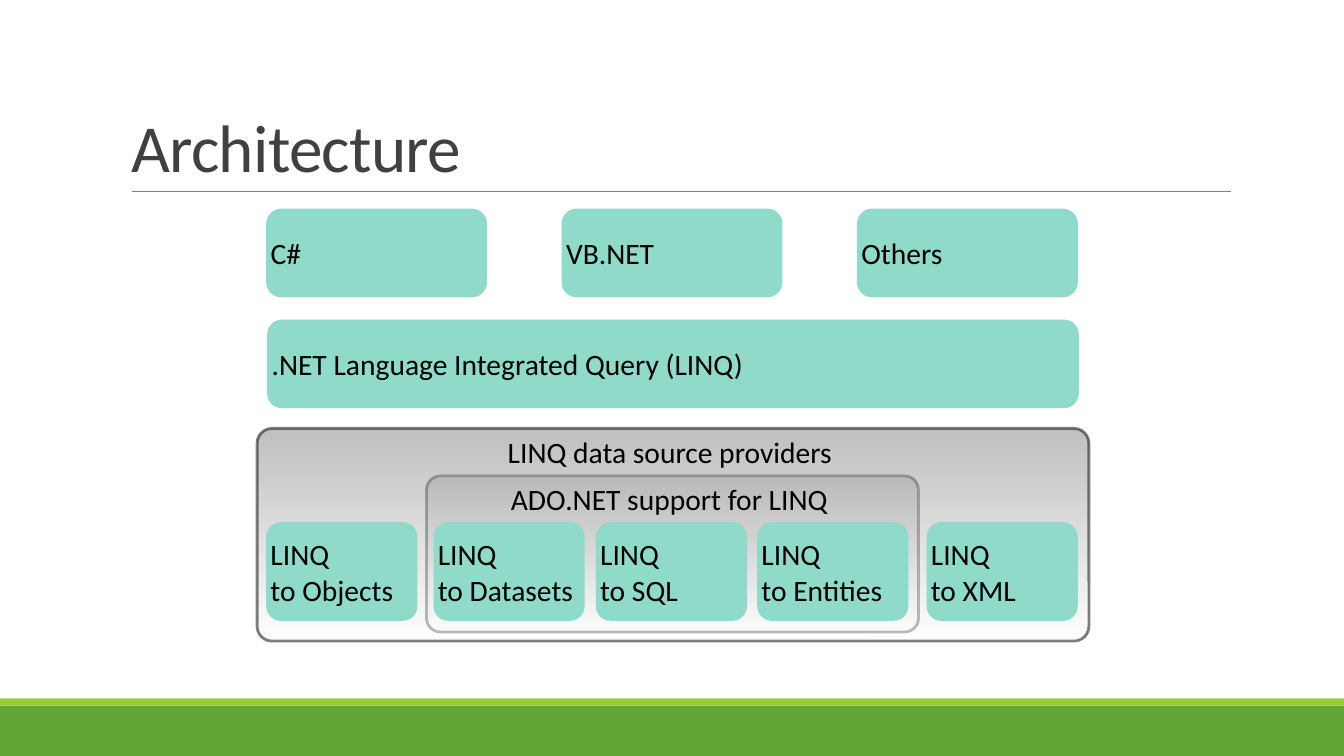
from dataclasses import dataclass

from lxml.etree import SubElement
from pptx import Presentation
from pptx.dml.color import RGBColor
from pptx.enum.shapes import MSO_CONNECTOR as Connector, MSO_SHAPE as Shape
from pptx.enum.text import MSO_ANCHOR as Anchor, PP_ALIGN as Align
from pptx.oxml.ns import qn
from pptx.util import Inches, Pt


@dataclass(frozen=True)
class Theme:
    font: str = "Calibri"
    title_size: float = 48
    label_size: float = 21.1
    title_color: str = "404040"
    text_color: str = "000000"
    box_color: str = "8FDAC8"
    rule_color: str = "808080"
    frame_line: str = "000000"
    frame_top: str = "808080"
    frame_bottom: str = "FFFFFF"
    band_color: str = "63A537"
    stripe_color: str = "99CB38"


def rgb(value):
    return RGBColor.from_string(value)


class SlideBuilder:
    def __init__(self, slide, theme):
        self.slide = slide
        self.theme = theme

    def style_run(self, run, size, color):
        run.font.name = self.theme.font
        run.font.size = Pt(size)
        run.font.color.rgb = rgb(color)

    def label(self, shape, text, align):
        frame = shape.text_frame
        frame.margin_left = frame.margin_right = 0
        frame.margin_top = frame.margin_bottom = 0
        frame.vertical_anchor = Anchor.MIDDLE
        paragraph = frame.paragraphs[0]
        paragraph.alignment = align
        for index, line in enumerate(text.split("\n")):
            if index:
                paragraph.add_line_break()
            run = paragraph.add_run()
            run.text = line
            self.style_run(run, self.theme.label_size, self.theme.text_color)
        return frame

    def title(self, text, left, top, width, height):
        shape = self.slide.shapes.title
        shape.left, shape.top = Inches(left), Inches(top)
        shape.width, shape.height = Inches(width), Inches(height)
        shape.text_frame.vertical_anchor = Anchor.BOTTOM
        paragraph = shape.text_frame.paragraphs[0]
        paragraph.alignment = Align.LEFT
        paragraph.line_spacing = 0.85
        run = paragraph.add_run()
        run.text = text
        self.style_run(run, self.theme.title_size, self.theme.title_color)
        run.font._element.set("spc", "-50")

    def shape(self, kind, left, top, width, height):
        shape = self.slide.shapes.add_shape(
            kind, Inches(left), Inches(top), Inches(width), Inches(height))
        shape.shadow.inherit = False
        return shape

    def solid(self, kind, left, top, width, height, color):
        shape = self.shape(kind, left, top, width, height)
        shape.fill.solid()
        shape.fill.fore_color.rgb = rgb(color)
        shape.line.fill.background()
        return shape

    def rule(self, left, right, y):
        line = self.slide.shapes.add_connector(
            Connector.STRAIGHT, Inches(left), Inches(y), Inches(right), Inches(y))
        line.line.color.rgb = rgb(self.theme.rule_color)
        line.line.width = Pt(0.5)
        SubElement(line._element.spPr, qn("a:effectLst"))

    def frame(self, left, top, width, height, corner, opacity):
        shape = self.shape(Shape.ROUNDED_RECTANGLE, left, top, width, height)
        shape.adjustments[0] = corner
        shape.fill.gradient()
        shape.fill.gradient_angle = 270
        colors = (self.theme.frame_top, self.theme.frame_bottom)
        for stop, color in zip(shape.fill.gradient_stops, colors):
            stop.color.rgb = rgb(color)
        shape.line.color.rgb = rgb(self.theme.frame_line)
        shape.line.width = Pt(2)
        # Fill and outline share one opacity
        for color in list(shape._element.spPr.iter(qn("a:srgbClr"))):
            SubElement(color, qn("a:alpha"), val=str(opacity * 1000))

    def box(self, text, left, top, width, height, corner):
        shape = self.solid(Shape.ROUNDED_RECTANGLE, left, top, width, height,
                           self.theme.box_color)
        shape.adjustments[0] = corner
        self.label(shape, text, Align.LEFT).word_wrap = True

    def caption(self, text, left, top, width, height):
        shape = self.slide.shapes.add_textbox(
            Inches(left), Inches(top), Inches(width), Inches(height))
        self.label(shape, text, Align.CENTER).word_wrap = False


def main():
    presentation = Presentation()
    presentation.slide_width = Inches(13.33)
    presentation.slide_height = Inches(7.5)
    slide = presentation.slides.add_slide(presentation.slide_layouts[5])
    theme = Theme()
    builder = SlideBuilder(slide, theme)

    # Footer bands, heading and rule
    builder.solid(Shape.RECTANGLE, 0, 7, 13.33, 0.5, theme.band_color)
    builder.solid(Shape.RECTANGLE, 0, 6.93, 13.33, 0.07, theme.stripe_color)
    builder.rule(1.31, 12.21, 1.9)
    builder.title("Architecture", 1.2, 0.31, 11, 1.59)

    # Provider frames
    builder.frame(2.55, 4.25, 8.25, 2.11, corner=0.07, opacity=50)
    builder.frame(4.23, 4.72, 4.88, 1.55, corner=0.09, opacity=25)

    # Languages
    for column, language in enumerate(("C#", "VB.NET", "Others")):
        builder.box(language, 2.64 + column * 2.93, 2.07, 2.19, 0.88, 0.17)

    # Query layer
    builder.box(".NET Language Integrated Query (LINQ)", 2.65, 3.17, 8.05, 0.88, 0.17)

    # Data source providers
    providers = {"Objects": 2.64, "Datasets": 4.3, "SQL": 5.91,
                 "Entities": 7.51, "XML": 9.19}
    for provider, left in providers.items():
        builder.box(f"LINQ\nto {provider}", left, 5.18, 1.5, 0.98, 0.15)

    # Frame captions
    builder.caption("LINQ data source providers", 5.02, 4.31, 3.25, 0.35)
    builder.caption("ADO.NET support for LINQ", 5.05, 4.77, 3.18, 0.35)

    presentation.save("out.pptx")


if __name__ == "__main__":
    main()
